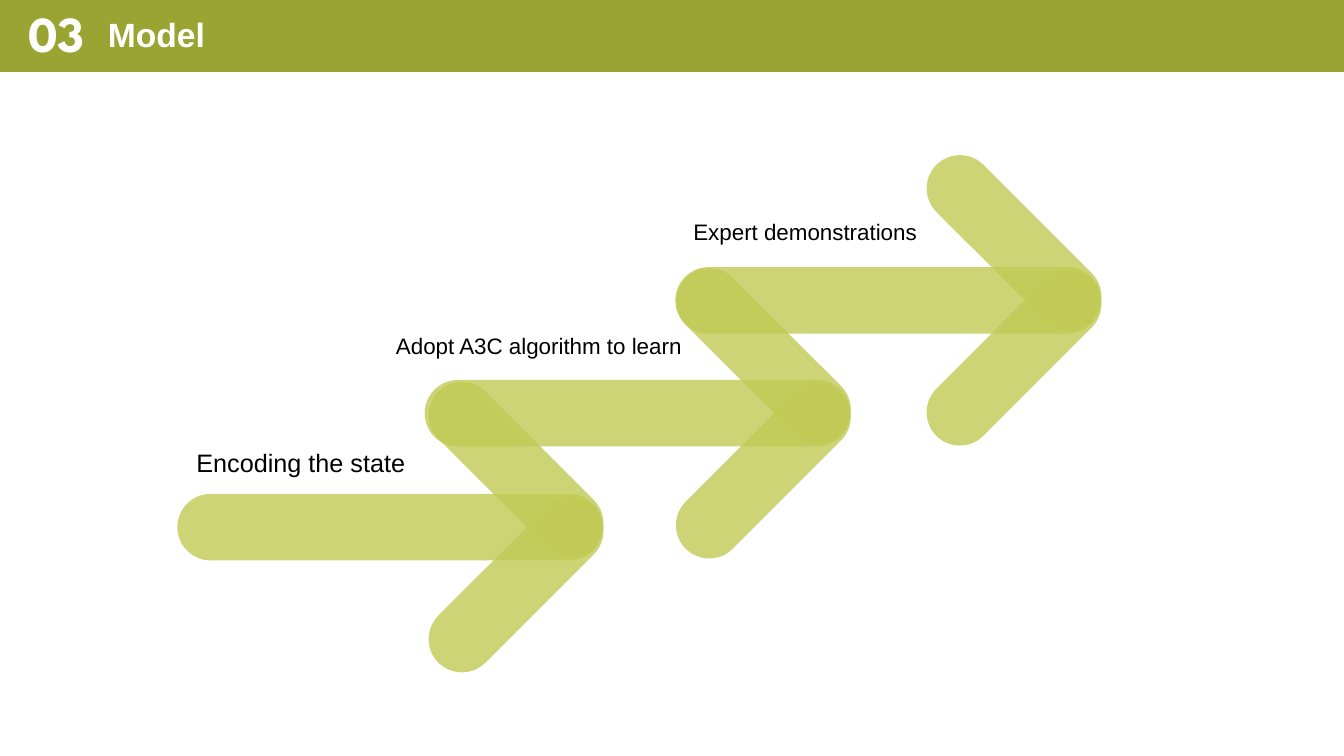
from pptx import Presentation
from pptx.dml.color import RGBColor
from pptx.enum.shapes import MSO_SHAPE as Shape
from pptx.enum.text import MSO_ANCHOR as Anchor, MSO_AUTO_SIZE as AutoSize, PP_ALIGN as Align
from pptx.oxml.ns import qn
from pptx.util import Inches, Pt
from lxml import etree

COLUMNS, ROWS = 40, 22.5
BAR_HEIGHT, SHAFT_WIDTH, HEAD_WIDTH = 1.98, 12.66, 6.54
HEAD_SHIFT, HEAD_RISE = 6.81, 1.72


def color(hex_text):
    return RGBColor.from_string(hex_text)


class ArrowSlide:
    """Holds the style and the slide; places are in grid columns and rows."""
    band, bar, white, black = "9AA433", "C0CA54", "FFFFFF", "000000"
    opacity = 80
    font, number_font = "Arial", "League Spartan"

    def __init__(self, presentation):
        self.cell_width = presentation.slide_width / COLUMNS
        self.cell_height = presentation.slide_height / ROWS
        self.slide = presentation.slides.add_slide(presentation.slide_layouts[5])

    def place(self, left, top, width, height):
        return (round(left * self.cell_width), round(top * self.cell_height),
                round(width * self.cell_width), round(height * self.cell_height))

    def block(self, shapes, kind, box, fill):
        shape = shapes.add_shape(kind, *self.place(*box))
        shape.shadow.inherit = False
        shape.fill.solid()
        shape.fill.fore_color.rgb = color(fill)
        shape.line.fill.background()
        return shape

    def rounded_bar(self, group, box, angle):
        shape = self.block(group.shapes, Shape.ROUNDED_RECTANGLE, box, self.bar)
        shape.adjustments[0] = 0.5
        shape.rotation = angle
        fill = shape.element.spPr.find(qn("a:solidFill"))
        etree.SubElement(fill[0], qn("a:alpha"), val=str(self.opacity * 1000))

    def arrow(self, left, top):
        """Adds a shaft with two slanted bars that meet at its right end."""
        group = self.slide.shapes.add_group_shape()
        self.rounded_bar(group, (left, top, SHAFT_WIDTH, BAR_HEIGHT), 0)
        for rise, angle in ((-HEAD_RISE, 45), (HEAD_RISE, 315)):
            box = (left + HEAD_SHIFT, top + rise, HEAD_WIDTH, BAR_HEIGHT)
            self.rounded_bar(group, box, angle)

    def set_text(self, shape, text, frame_format, line_spacing, font_format, fill):
        frame = shape.text_frame
        frame.text = text
        paragraph = frame.paragraphs[0]
        margins = {"margin_left": Inches(0.1), "margin_right": Inches(0.1),
                   "margin_top": Inches(0.05), "margin_bottom": Inches(0.05)}
        paragraph_format = {"alignment": Align.LEFT, "line_spacing": line_spacing,
                            "space_before": Pt(0)}
        for target, values in ((frame, margins | frame_format),
                               (paragraph, paragraph_format),
                               (paragraph.runs[0].font, font_format)):
            for name, value in values.items():
                setattr(target, name, value)
        paragraph.runs[0].font.color.rgb = color(fill)

    def label(self, text, box, size):
        shape = self.slide.shapes.add_textbox(*self.place(*box))
        self.set_text(shape, text, {"word_wrap": True, "auto_size": AutoSize.SHAPE_TO_FIT_TEXT},
                      1.3, {"name": self.font, "size": Pt(size)}, self.black)

    def header(self, number, title):
        self.block(self.slide.shapes, Shape.RECTANGLE, (0, 0, COLUMNS, 2.14), self.band)
        frame_format = {"word_wrap": False, "auto_size": AutoSize.NONE,
                        "vertical_anchor": Anchor.MIDDLE}
        number_box = self.slide.shapes.add_textbox(*self.place(0.54, 0.27, 2.37, 1.59))
        self.set_text(number_box, number, frame_format, 0.9,
                      {"name": self.number_font, "size": Pt(36), "bold": True}, self.white)
        title_shape = self.slide.shapes.title
        title_shape.left, title_shape.top, title_shape.width, title_shape.height = \
            self.place(2.91, 0.48, 12.54, 1.2)
        self.set_text(title_shape, title, frame_format | {"word_wrap": True}, 0.9,
                      {"name": self.font, "size": Pt(24), "bold": True}, self.white)
        # The title must lie in front of the band.
        number_box.element.addnext(title_shape.element)


def main():
    presentation = Presentation()
    presentation.slide_width, presentation.slide_height = Inches(13.33), Inches(7.5)
    model = ArrowSlide(presentation)
    model.header("03", "Model")
    for left, top in ((5.28, 14.7), (12.64, 11.31), (20.1, 7.95)):
        model.arrow(left, top)
    for text, box, size in (
            ("Expert demonstrations", (20.34, 6.09, 8.34, 1.35), 16),
            ("Adopt A3C algorithm to learn", (11.49, 9.51, 9.63, 1.23), 16),
            ("Encoding the state", (5.55, 12.9, 8.34, 1.35), 18)):
        model.label(text, box, size)
    presentation.save("out.pptx")


if __name__ == "__main__":
    main()
